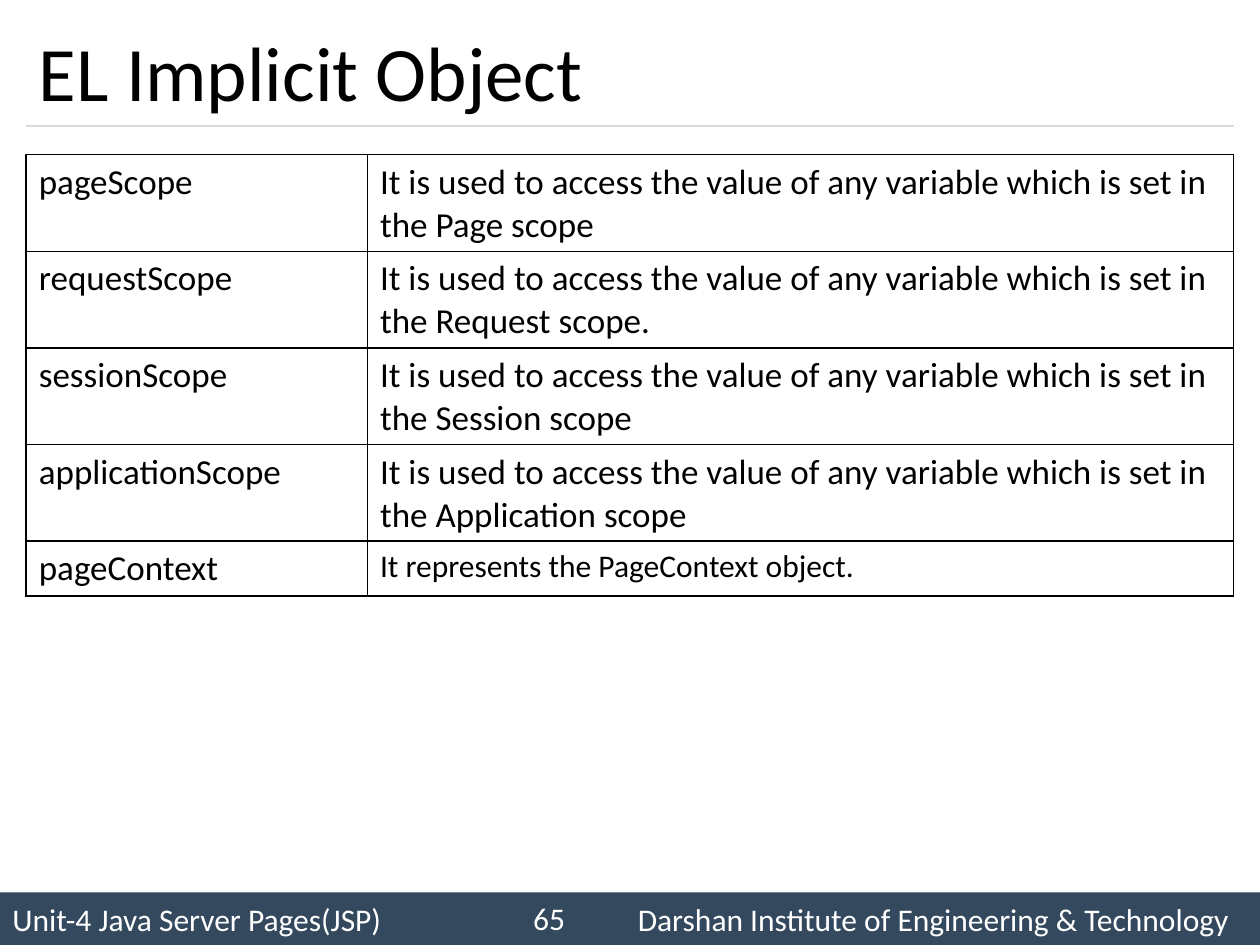
from dataclasses import dataclass

from lxml.etree import SubElement
from pptx import Presentation
from pptx.dml.color import RGBColor
from pptx.enum.shapes import MSO_CONNECTOR, MSO_SHAPE
from pptx.enum.text import MSO_ANCHOR, PP_ALIGN
from pptx.oxml.ns import qn
from pptx.util import Pt


@dataclass(frozen=True)
class Theme:
    font: str = "Calibri"
    ink: RGBColor = RGBColor(0, 0, 0)
    paper: RGBColor = RGBColor(255, 255, 255)
    bar: RGBColor = RGBColor(0x34, 0x49, 0x5E)
    rule: RGBColor = RGBColor(0xD9, 0xD9, 0xD9)
    title_size: int = 44
    body_size: int = 20
    small_size: int = 18


SLIDE_WIDTH, SLIDE_HEIGHT = 720, 540
MARGIN = 15
CONTENT_WIDTH = SLIDE_WIDTH - 2 * MARGIN
TERM_WIDTH = 195
TABLE_TOP = 88.4
BAR_TOP, BAR_HEIGHT = 510, 30
INSTITUTE_TAB = 357.4

SCOPE_TEXT = "It is used to access the value of any variable which is set in the "
SCOPES = [
    ("pageScope", "Page scope"),
    ("requestScope", "Request scope."),
    ("sessionScope", "Session scope"),
    ("applicationScope", "Application scope"),
]


class SlideBuilder:
    def __init__(self, slide, theme):
        self.slide = slide
        self.theme = theme

    def style(self, paragraph, size, color):
        font = paragraph.font
        font.name = self.theme.font
        font.size = Pt(size)
        font.color.rgb = color

    def title(self, text, left, top, width, height):
        title = self.slide.shapes.title
        title.left, title.top = Pt(left), Pt(top)
        title.width, title.height = Pt(width), Pt(height)
        title.text_frame.text = text
        title.text_frame.vertical_anchor = MSO_ANCHOR.MIDDLE
        heading = title.text_frame.paragraphs[0]
        heading.alignment = PP_ALIGN.LEFT
        self.style(heading, self.theme.title_size, self.theme.ink)

    def rule(self, left, right, y):
        rule = self.slide.shapes.add_connector(
            MSO_CONNECTOR.STRAIGHT, Pt(left), Pt(y), Pt(right), Pt(y))
        rule.line.color.rgb = self.theme.rule
        rule.line.width = Pt(0.75)
        SubElement(rule._element.spPr, qn("a:effectLst"))

    def footer_bar(self, unit, institute, top, height):
        bar = self.slide.shapes.add_shape(
            MSO_SHAPE.RECTANGLE, 0, Pt(top), Pt(SLIDE_WIDTH), Pt(height))
        bar.shadow.inherit = False
        bar.fill.solid()
        bar.fill.fore_color.rgb = self.theme.bar
        bar.line.fill.background()
        bar.text_frame.vertical_anchor = MSO_ANCHOR.MIDDLE
        credits = bar.text_frame.paragraphs[0]
        credits.text = f"{unit}\t{institute}"
        credits.alignment = PP_ALIGN.LEFT
        tabs = SubElement(credits._p.get_or_add_pPr(), qn("a:tabLst"))
        SubElement(tabs, qn("a:tab"), pos=str(int(Pt(INSTITUTE_TAB))), algn="l")
        self.style(credits, self.theme.small_size, self.theme.paper)

    def page_number(self, number, left, top, width, height):
        box = self.slide.shapes.add_textbox(Pt(left), Pt(top), Pt(width), Pt(height))
        box.text_frame.word_wrap = True
        box.text_frame.vertical_anchor = MSO_ANCHOR.MIDDLE
        page = box.text_frame.paragraphs[0]
        page.text = number
        page.alignment = PP_ALIGN.RIGHT
        self.style(page, self.theme.small_size, self.theme.ink if not number else self.theme.paper)

    def border(self, cell):
        properties = cell._tc.get_or_add_tcPr()
        for side in ("lnL", "lnR", "lnT", "lnB"):
            line = SubElement(properties, qn(f"a:{side}"), w=str(int(Pt(1))))
            fill = SubElement(line, qn("a:solidFill"))
            SubElement(fill, qn("a:srgbClr"), val=str(self.theme.ink))

    def definition(self, term, meaning, meaning_size, top, height):
        """Draw one term and its meaning as a one-row table."""
        table = self.slide.shapes.add_table(
            1, 2, Pt(MARGIN), Pt(top), Pt(CONTENT_WIDTH), Pt(height)).table
        table.first_row = False
        table.horz_banding = False
        table.columns[0].width = Pt(TERM_WIDTH)
        table.columns[1].width = Pt(CONTENT_WIDTH - TERM_WIDTH)
        entries = [(term, self.theme.body_size), (meaning, meaning_size)]
        for column, (text, size) in enumerate(entries):
            cell = table.cell(0, column)
            cell.text = text
            self.border(cell)
            cell.fill.background()
            self.style(cell.text_frame.paragraphs[0], size, self.theme.ink)


def main():
    presentation = Presentation()
    presentation.slide_width = Pt(SLIDE_WIDTH)
    presentation.slide_height = Pt(SLIDE_HEIGHT)
    theme = Theme()
    builder = SlideBuilder(
        presentation.slides.add_slide(presentation.slide_layouts[5]), theme)

    builder.footer_bar("Unit-4 Java Server Pages(JSP)",
                       "Darshan Institute of Engineering & Technology",
                       BAR_TOP, BAR_HEIGHT)
    builder.rule(MARGIN, SLIDE_WIDTH - MARGIN, 72)
    builder.title("EL Implicit Object", MARGIN, 9, CONTENT_WIDTH, 63)
    builder.page_number("65", 282, BAR_TOP, 48, 29)

    row_height = 55.2
    for index, (term, scope) in enumerate(SCOPES):
        builder.definition(term, SCOPE_TEXT + scope, theme.body_size,
                           TABLE_TOP + index * row_height, row_height)
    builder.definition("pageContext", "It represents the PageContext object.",
                       theme.small_size, TABLE_TOP + len(SCOPES) * row_height, 31)

    presentation.save("out.pptx")


if __name__ == "__main__":
    main()
